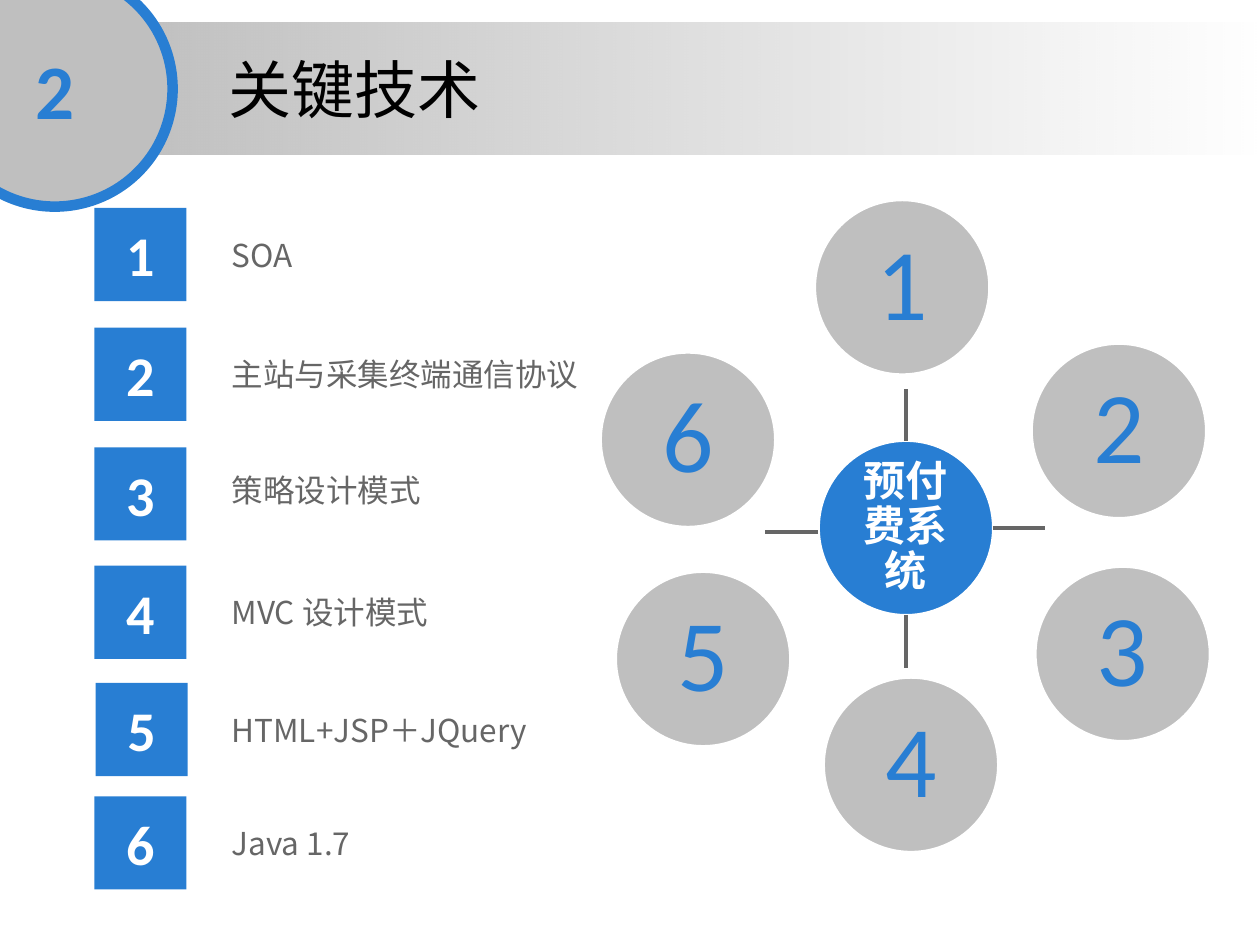
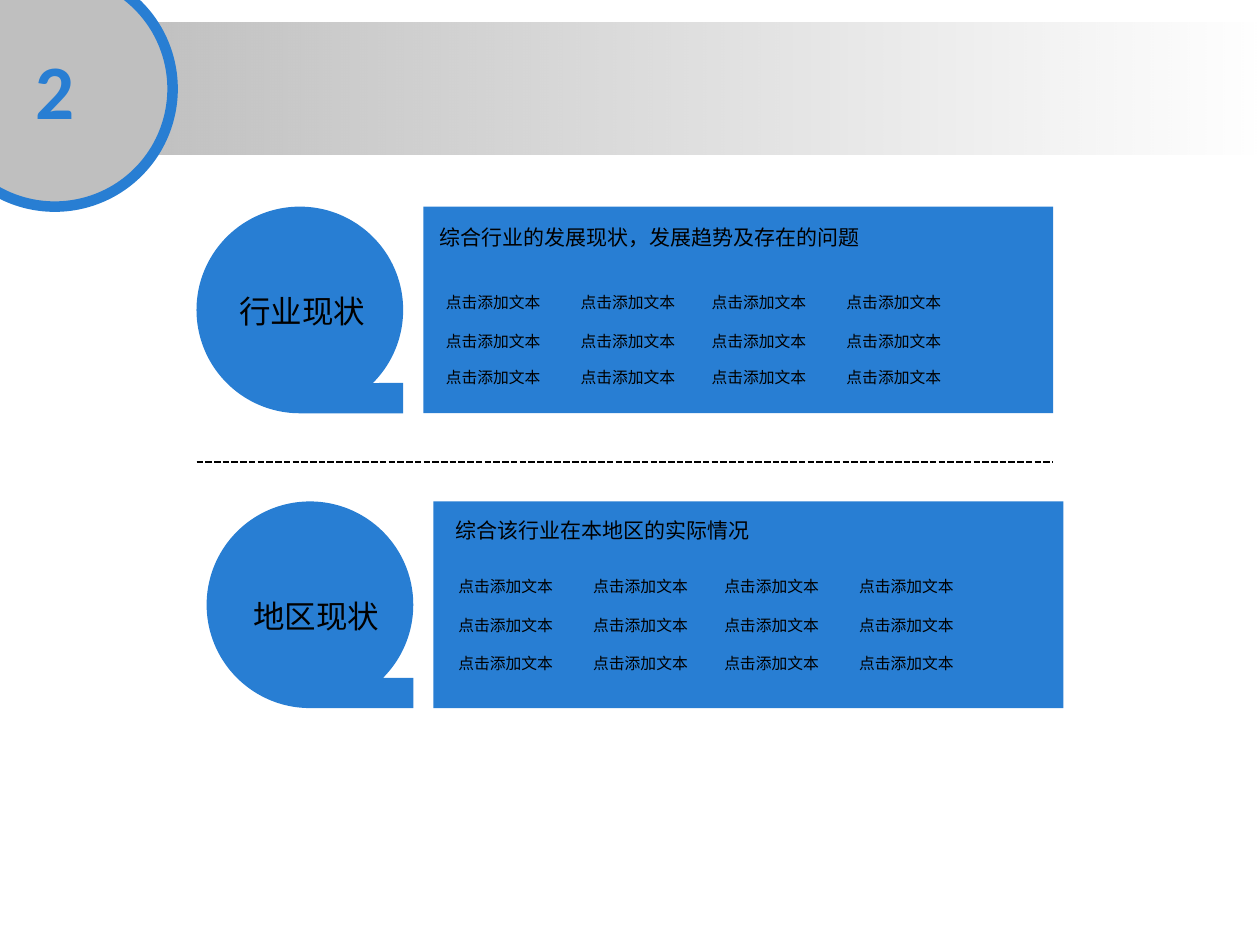
from dataclasses import dataclass
from lxml.etree import SubElement
from pptx import Presentation
from pptx.dml.color import RGBColor
from pptx.enum.dml import MSO_LINE as Dash
from pptx.enum.shapes import MSO_CONNECTOR as Conn, MSO_SHAPE as Kind
from pptx.enum.text import MSO_ANCHOR as Anchor, MSO_AUTO_SIZE as Auto, PP_ALIGN as Align
from pptx.oxml.ns import qn
from pptx.util import Inches, Pt

BLUE, GREY, DARK = "287ED3", "BFBFBF", "666666"
WHITE, BLACK = "FFFFFF", "000000"
LATIN, HAN = "Calibri", "Noto Sans CJK SC"
FILLER = "点击添加文本"


@dataclass
class Box:
    left: float
    top: float
    width: float
    height: float

    def size(self) -> list:
        return [Inches(n) for n in (self.left, self.top, self.width, self.height)]


@dataclass
class Style:
    size: float
    color: str
    font: str = HAN
    bold: bool = False


@dataclass
class Item:
    text: str
    left: float
    top: float
    label: float
    width: float = 2.73


@dataclass
class Disc:
    text: str
    left: float
    top: float


@dataclass
class Spoke:
    x1: float
    y1: float
    x2: float
    y2: float


@dataclass
class Panel:
    name: str
    head: str
    left: float
    top: float
    tag: Box
    title: Box
    grid: float
    rows: tuple


BADGE = Style(44, BLUE, LATIN, True)
TITLE = Style(36, BLACK)
NUMBER = Style(32, WHITE, LATIN, True)
ENTRY = Style(18, DARK)
DIGIT = Style(58, BLUE, LATIN)
HUB = Style(24, WHITE, HAN, True)
TAG, HEAD, CELL = Style(18, BLACK), Style(12, BLACK), Style(9, BLACK)

ITEMS = [
    Item("SOA", 0.75, 1.65, 1.82),
    Item("主站与采集终端通信协议", 0.75, 2.6, 2.77, 2.95),
    Item("策略设计模式", 0.75, 3.55, 3.69),
    Item("MVC 设计模式", 0.75, 4.49, 4.66),
    Item("HTML+JSP＋JQuery", 0.76, 5.42, 5.59),
    Item("Java 1.7", 0.75, 6.32, 6.49),
]
DISCS = [
    Disc("1", 6.47, 1.59),
    Disc("2", 8.19, 2.73),
    Disc("3", 8.22, 4.5),
    Disc("4", 6.54, 5.38),
    Disc("5", 4.89, 4.54),
    Disc("6", 4.77, 2.8),
]
SPOKES = [
    Spoke(7.19, 3.5, 7.19, 3.09),
    Spoke(7.88, 4.19, 8.29, 4.19),
    Spoke(7.19, 4.88, 7.19, 5.3),
    Spoke(6.49, 4.22, 6.07, 4.22),
]
PANELS = [
    Panel("行业现状", "综合行业的发展现状，发展趋势及存在的问题", 3.36, 1.64,
          Box(1.8, 2.27, 1.21, 0.4), Box(3.39, 1.73, 3.57, 0.3),
          3.44, (2.27, 2.58, 2.87)),
    Panel("地区现状", "综合该行业在本地区的实际情况", 3.44, 3.98,
          Box(1.91, 4.69, 1.21, 0.4), Box(3.52, 4.06, 2.56, 0.3),
          3.54, (4.53, 4.84, 5.14)),
]
COLUMNS = (0, 1.07, 2.11, 3.18)


def paint(color: str) -> RGBColor:
    return RGBColor.from_string(color)


def write(shape, text: str, style: Style, align=Align.LEFT, anchor=Anchor.TOP):
    frame = shape.text_frame
    frame.word_wrap = True
    frame.vertical_anchor = anchor
    para = frame.paragraphs[0]
    para.alignment = align
    run = para.add_run()
    run.text = text
    font = run.font
    font.size, font.bold, font.name = Pt(style.size), style.bold, style.font
    font.color.rgb = paint(style.color)
    SubElement(font._element, qn("a:ea"), typeface=style.font)
    return frame


def center(shape, text: str, style: Style):
    return write(shape, text, style, Align.CENTER, Anchor.MIDDLE)


def draw(slide, kind, box: Box, fill: str, edge: str = "", weight: float = 1):
    shape = slide.shapes.add_shape(kind, *box.size())
    shape.shadow.inherit = False
    shape.fill.solid()
    shape.fill.fore_color.rgb = paint(fill)
    if edge:
        shape.line.color.rgb = paint(edge)
        shape.line.width = Pt(weight)
    else:
        shape.line.fill.background()
    return shape


def link(slide, spoke: Spoke, color: str, weight: float):
    ends = [Inches(n) for n in (spoke.x1, spoke.y1, spoke.x2, spoke.y2)]
    line = slide.shapes.add_connector(Conn.STRAIGHT, *ends)
    line.line.color.rgb = paint(color)
    line.line.width = Pt(weight)
    SubElement(line.element.spPr, qn("a:effectLst"))
    return line


def banner(slide) -> None:
    band = draw(slide, Kind.RECTANGLE, Box(0.86, 0.18, 9.14, 1.05), GREY)
    band.fill.gradient()
    band.fill.gradient_angle = 0
    for stop, place in zip(band.fill.gradient_stops, (0, 1)):
        stop.color.rgb = paint(GREY)
        stop.position = place
    last = list(band.element.spPr.iter(qn("a:srgbClr")))[-1]
    SubElement(last, qn("a:alpha"), val="0")
    badge = draw(slide, Kind.OVAL, Box(-0.5, -0.23, 1.87, 1.87), GREY, BLUE, 6)
    center(badge, "2", BADGE)


def head(slide, text: str) -> None:
    title = slide.shapes.title
    title.left, title.top, title.width, title.height = Box(1.71, 0.35, 6.19, 0.74).size()
    write(title, text, TITLE).auto_size = Auto.NONE
    slide.shapes.element.append(title.element)


def disc(slide, spot: Disc, fill: str, style: Style) -> None:
    shape = draw(slide, Kind.OVAL, Box(spot.left, spot.top, 1.38, 1.38), fill, WHITE)
    frame = center(shape, spot.text, style)
    frame.margin_left = frame.margin_right = Inches(0.04)
    frame.margin_top = frame.margin_bottom = Inches(0.04)
    frame.paragraphs[0].line_spacing = 0.9


def entry(slide, num: int, item: Item) -> None:
    tile = draw(slide, Kind.RECTANGLE, Box(item.left, item.top, 0.73, 0.74), BLUE)
    center(tile, str(num), NUMBER)
    box = Box(1.74, item.label, item.width, 0.42)
    write(slide.shapes.add_textbox(*box.size()), item.text, ENTRY)


def label(slide, box: Box, text: str, style: Style) -> None:
    frame = write(draw(slide, Kind.RECTANGLE, box, BLUE), text, style)
    frame.word_wrap = False
    frame.auto_size = Auto.SHAPE_TO_FIT_TEXT


def panel(slide, part: Panel) -> None:
    x, y = part.left, part.top
    draw(slide, Kind.RECTANGLE, Box(x, y, 5, 1.64), BLUE)
    draw(slide, Kind.ROUNDED_RECTANGLE, Box(x + 0.08, y + 0.08, 3.52, 0.31), BLUE)
    draw(slide, Kind.FLOWCHART_SEQUENTIAL_ACCESS_STORAGE, Box(x - 1.8, y, 1.64, 1.64), BLUE)
    label(slide, part.tag, part.name, TAG)
    label(slide, part.title, part.head, HEAD)
    for step in COLUMNS:
        for row in part.rows:
            label(slide, Box(part.grid + step, row, 0.96, 0.25), FILLER, CELL)


def tech(deck) -> None:
    slide = deck.slides.add_slide(deck.slide_layouts[5])
    banner(slide)
    head(slide, "关键技术")
    disc(slide, Disc("预付费系统", 6.5, 3.5), BLUE, HUB)
    for spoke in SPOKES:
        link(slide, spoke, DARK, 2.25)
    for spot in DISCS:
        disc(slide, spot, GREY, DIGIT)
    for num, item in enumerate(ITEMS, 1):
        entry(slide, num, item)


def status(deck) -> None:
    slide = deck.slides.add_slide(deck.slide_layouts[6])
    banner(slide)
    for part in PANELS:
        panel(slide, part)
    rule = link(slide, Spoke(1.56, 3.67, 8.36, 3.67), BLACK, 1.25)
    rule.line.dash_style = Dash.SQUARE_DOT


def main() -> None:
    deck = Presentation()
    deck.slide_width, deck.slide_height = Inches(10), Inches(7.5)
    tech(deck)
    status(deck)
    deck.save("out.pptx")


if __name__ == "__main__":
    main()
